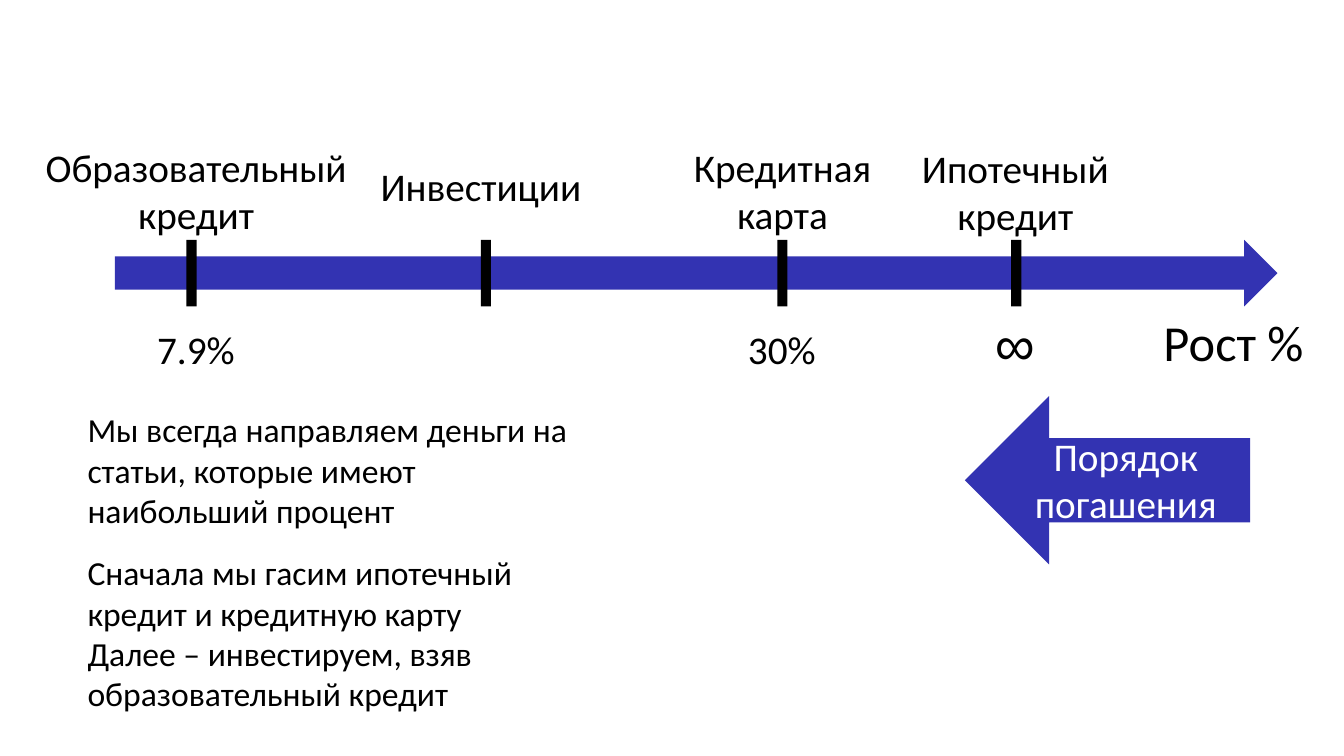
from collections import namedtuple
from dataclasses import dataclass

from pptx import Presentation
from pptx.dml.color import RGBColor
from pptx.enum.shapes import MSO_SHAPE
from pptx.enum.text import MSO_AUTO_SIZE, PP_ALIGN
from pptx.util import Emu, Pt

PX = 9144  # 100 px to the inch

Box = namedtuple("Box", "left top width height")
Debt = namedtuple("Debt", "name tick_left label rate rate_box rate_size rate_font")


@dataclass(frozen=True)
class Theme:
    accent: RGBColor = RGBColor(0x33, 0x33, 0xB2)
    ink: RGBColor = RGBColor(0, 0, 0)
    on_accent: RGBColor = RGBColor(0xFF, 0xFF, 0xFF)
    font: str = "Calibri"
    symbol_font: str = "Arial Narrow"
    axis_size: int = 36
    symbol_size: int = 40
    label_size: int = 28
    note_size: int = 24


THEME = Theme()
TICK_WIDTH = 10

# Boxes are relative to the axis arrow's top left corner.
DEBTS = [
    Debt("Образовательный кредит", 71, Box(-90, -101, 341, 104),
         "7.9%", Box(32, 80, 98, 57), THEME.label_size, THEME.font),
    Debt("Инвестиции", 363, Box(246, -82, 234, 57), None, None, None, None),
    Debt("Кредитная карта", 657, Box(553, -101, 218, 104),
         "30%", Box(618, 80, 88, 57), THEME.label_size, THEME.font),
    Debt("Ипотечный кредит", 889, Box(788, -100, 210, 104),
         "∞", Box(863, 64, 60, 125), THEME.symbol_size, THEME.symbol_font),
]

NOTES = [
    (Box(0, 0, 517, 131),
     ["Мы всегда направляем деньги на статьи, которые имеют наибольший процент"]),
    (Box(0, 142, 517, 172),
     ["Сначала мы гасим ипотечный кредит и кредитную карту",
      "Далее – инвестируем, взяв образовательный кредит"]),
]


def within(outer, inner):
    """Move a box given relative to outer into slide coordinates."""
    return Box(outer.left + inner.left, outer.top + inner.top,
               inner.width, inner.height)


def to_emu(box):
    return [Emu(length * PX) for length in box]


def add_filled(slide, kind, box, color):
    shape = slide.shapes.add_shape(kind, *to_emu(box))
    shape.shadow.inherit = False
    shape.fill.solid()
    shape.fill.fore_color.rgb = color
    shape.line.fill.background()


def add_text(slide, box, lines, size, color=THEME.ink, font=THEME.font,
             align=PP_ALIGN.LEFT, wrap=True):
    frame = slide.shapes.add_textbox(*to_emu(box)).text_frame
    frame.word_wrap = wrap
    frame.auto_size = MSO_AUTO_SIZE.SHAPE_TO_FIT_TEXT
    frame.text = "\n".join(lines)
    for paragraph in frame.paragraphs:
        paragraph.alignment = align
        paragraph.font.size = Pt(size)
        paragraph.font.name = font
        paragraph.font.color.rgb = color


def add_rate_axis(slide, box):
    add_filled(slide, MSO_SHAPE.RIGHT_ARROW, box, THEME.accent)
    add_text(slide, within(box, Box(1030, 66, 161, 71)), ["Рост %"],
             THEME.axis_size, wrap=False)
    for debt in DEBTS:
        tick = Box(debt.tick_left, 0, TICK_WIDTH, box.height)
        add_filled(slide, MSO_SHAPE.RECTANGLE, within(box, tick), THEME.ink)
        add_text(slide, within(box, debt.label), [debt.name],
                 THEME.label_size, align=PP_ALIGN.CENTER)
        if debt.rate:
            add_text(slide, within(box, debt.rate_box), [debt.rate],
                     debt.rate_size, font=debt.rate_font, wrap=False)


def add_repayment_arrow(slide, box):
    add_filled(slide, MSO_SHAPE.LEFT_ARROW, box, THEME.accent)
    add_text(slide, within(box, Box(30, 31, 259, 104)), ["Порядок погашения"],
             THEME.label_size, color=THEME.on_accent, align=PP_ALIGN.CENTER)


def add_notes_column(slide, box):
    for note_box, lines in NOTES:
        add_text(slide, within(box, note_box), lines, THEME.note_size)


def main():
    deck = Presentation()
    deck.slide_width, deck.slide_height = Emu(1333 * PX), Emu(750 * PX)
    slide = deck.slides.add_slide(deck.slide_layouts[6])
    add_rate_axis(slide, Box(114, 238, 1153, 66))
    add_repayment_arrow(slide, Box(957, 393, 283, 167))
    add_notes_column(slide, Box(77, 401, 517, 314))
    deck.save("out.pptx")


if __name__ == "__main__":
    main()
